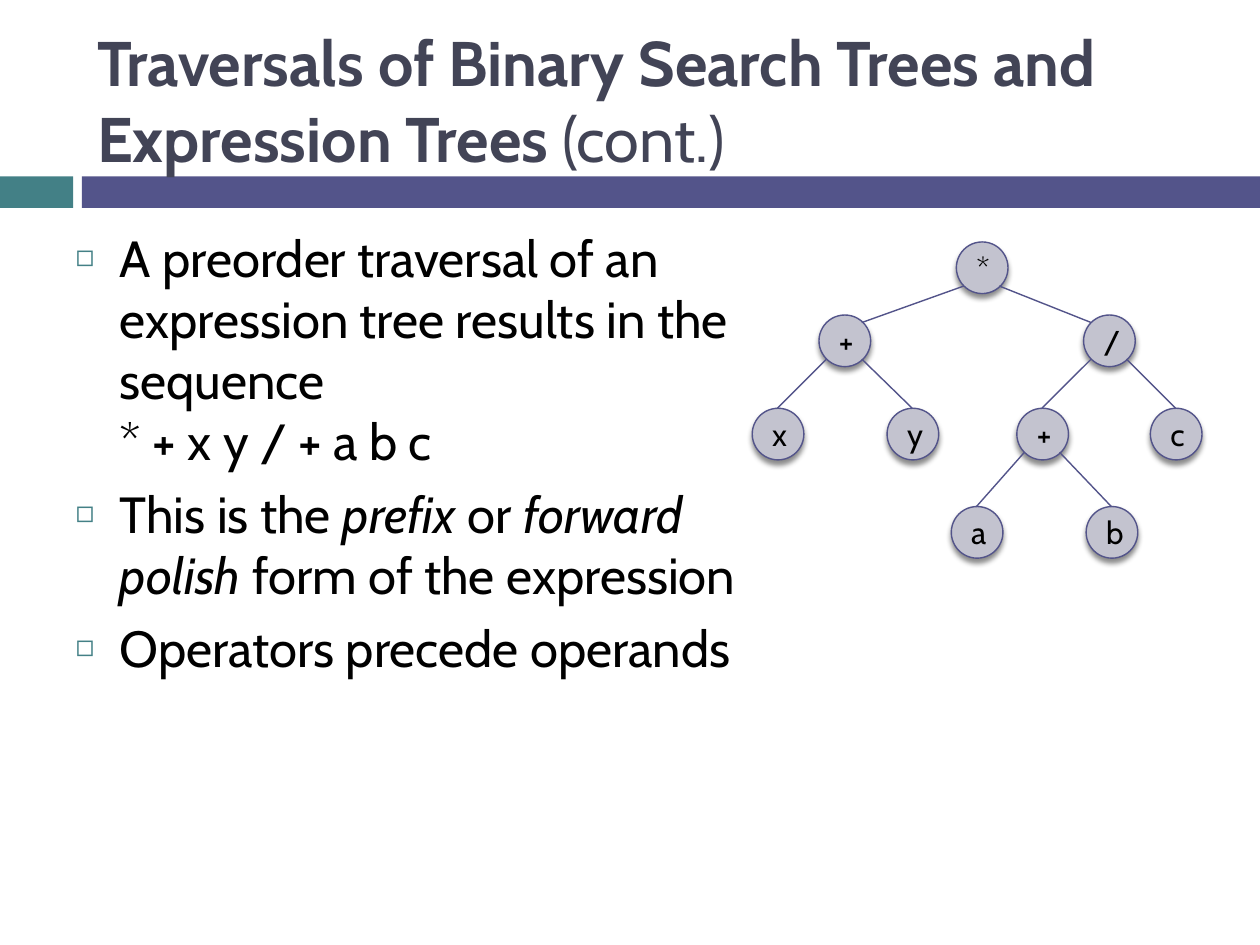
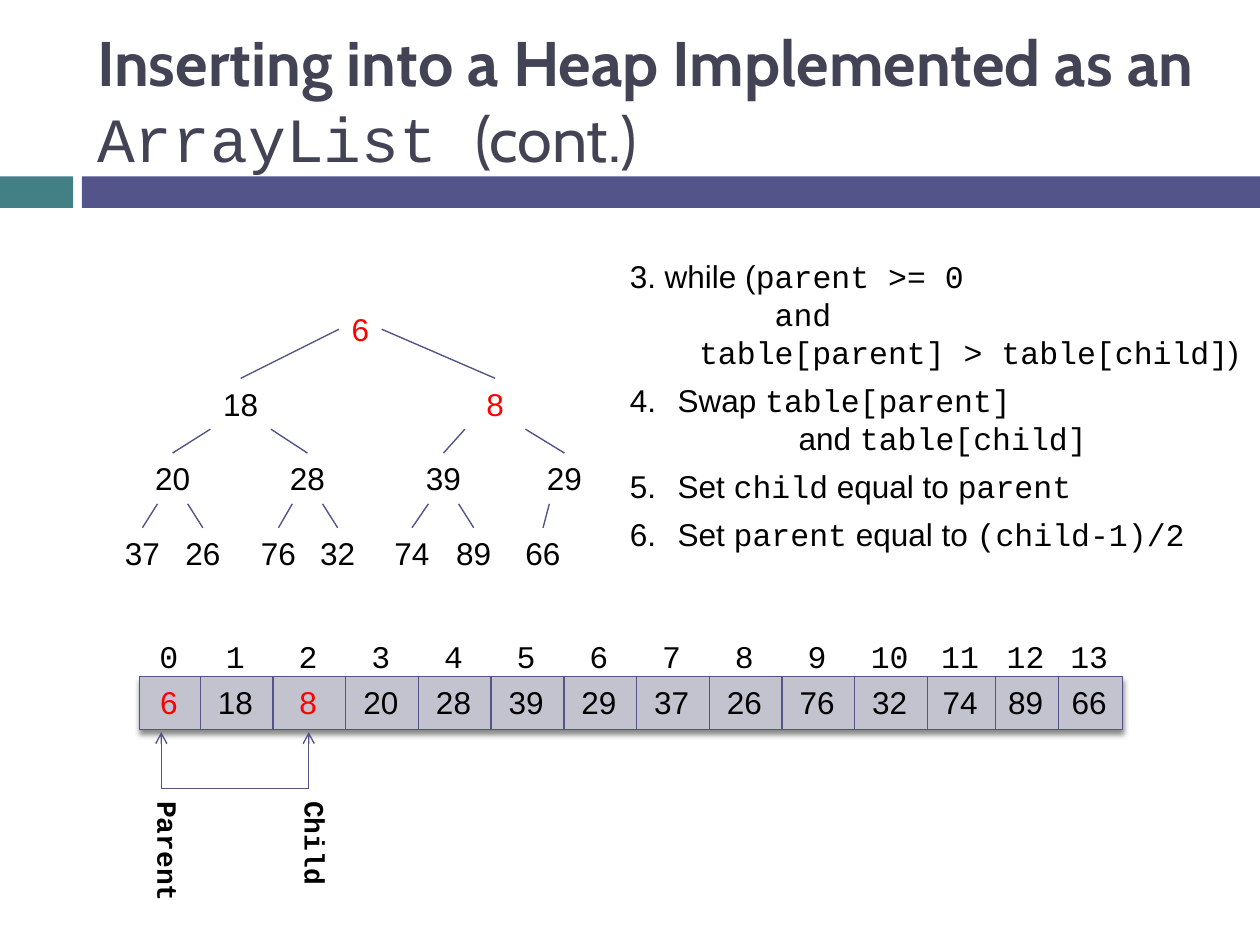
"""Build two slides: an expression tree and a heap stored in an array."""
import pptx
import pptx.dml.color
import pptx.enum.shapes
import pptx.enum.text
import pptx.oxml.ns
import pptx.util
from lxml import etree
from pptx.util import Inches, Pt

SHAPE = pptx.enum.shapes.MSO_SHAPE
ALIGN = pptx.enum.text.PP_ALIGN
ANCHOR = pptx.enum.text.MSO_ANCHOR
INK, RED, DARK = "000000", "FF0000", "424456"
TEAL, VIOLET, GREY = "438086", "53548A", "C3C3CF"
CABIN, ARIAL, MONO = "Cabin", "Arial", "Courier New"
HEAP = [6, 18, 8, 20, 28, 39, 29, 37, 26, 76, 32, 74, 89, 66]
MOVED = (0, 2)


def color(value):
    """Turn a hex string into a colour."""
    return pptx.dml.color.RGBColor.from_string(value)


def add(parent, tag, **attrs):
    """Append a DrawingML element with attributes."""
    node = etree.SubElement(parent, pptx.oxml.ns.qn("a:" + tag))
    for name, value in attrs.items():
        node.set(name, str(value))
    return node


def style(font, size=None, name=None, ink=None, bold=None, italic=None):
    """Set the given font traits."""
    if size:
        font.size = Pt(size)
    if name:
        font.name = name
    if ink:
        font.color.rgb = color(ink)
    if bold is not None:
        font.bold = bold
    if italic is not None:
        font.italic = italic


def write(par, pieces, **base):
    """Fill a paragraph with (text, traits) pieces over a base font."""
    style(par.font, **base)
    for text, traits in pieces:
        for i, part in enumerate(text.split("\n")):
            if i:
                par.add_line_break()
            if part:
                run = par.add_run()
                run.text = part
                style(run.font, **traits)


def indent(par, left, hang):
    """Set the left margin and hanging indent, and return the properties."""
    props = par._p.get_or_add_pPr()
    props.set("marL", str(Inches(left)))
    props.set("indent", str(Inches(-hang)))
    return props


def place(shape, left, top, width, height):
    """Move and size a shape, in inches."""
    shape.left, shape.top = Inches(left), Inches(top)
    shape.width, shape.height = Inches(width), Inches(height)


def solid(slide, kind, left, top, width, height, fill, edge=None):
    """Add a filled shape; one with an edge also casts a soft shadow."""
    shape = slide.shapes.add_shape(
        kind, Inches(left), Inches(top), Inches(width), Inches(height))
    shape.shadow.inherit = False
    shape.fill.solid()
    shape.fill.fore_color.rgb = color(fill)
    if not edge:
        shape.line.fill.background()
        return shape
    shape.line.color.rgb = color(edge)
    shape.line.width = Pt(0.79)
    effect = shape.element.xpath("./p:spPr/a:effectLst")[0]
    cast = add(effect, "outerShdw", blurRad=Pt(3), dist=Pt(2.4),
               dir=5400000, algn="ctr", rotWithShape=0)
    add(add(cast, "srgbClr", val=INK), "alpha", val=45000)
    return shape


def line(slide, x1, y1, x2, y2, arrow=False):
    """Draw a thin straight line, with an arrowhead at its end if asked."""
    link = slide.shapes.add_connector(
        pptx.enum.shapes.MSO_CONNECTOR.STRAIGHT,
        Inches(x1), Inches(y1), Inches(x2), Inches(y2))
    link.line.color.rgb = color(VIOLET)
    link.line.width = Pt(0.79)
    if arrow:
        add(link.element.xpath("./p:spPr/a:ln")[0], "tailEnd", type="arrow")
    add(link.element.xpath("./p:spPr")[0], "effectLst")


def label(slide, mid, top, text, name=ARIAL, ink=INK):
    """Put a short label centred on mid."""
    box = slide.shapes.add_textbox(
        Inches(mid - 0.25), Inches(top), Inches(0.5), Inches(0.4))
    box.text_frame.word_wrap = False
    par = box.text_frame.paragraphs[0]
    par.alignment = ALIGN.CENTER
    write(par, [(str(text), {})], size=18, name=name, ink=ink)


def bands(deck, slide):
    """Move the two title bands onto the slide master."""
    tree = deck.slide_master.shapes.element
    parts = [(0, 0.58, TEAL), (0.65, 9.35, VIOLET)]
    for i, (left, width, fill) in enumerate(parts):
        band = solid(slide, SHAPE.RECTANGLE, left, 1.4, width, 0.25, fill)
        band.element.xpath("./p:nvSpPr/p:cNvPr")[0].set("id", str(20 + i))
        tree.insert(2 + i, band.element)


def title(slide, pieces):
    """Set the slide title."""
    shape = slide.shapes.title
    place(shape, 0.67, 0.25, 8.92, 1.08)
    frame = shape.text_frame
    frame.auto_size = pptx.enum.text.MSO_AUTO_SIZE.NONE
    frame.vertical_anchor = ANCHOR.MIDDLE
    par = frame.paragraphs[0]
    par.alignment = ALIGN.LEFT
    write(par, pieces, size=36, name=CABIN, ink=DARK)


def points(slide, left, top, width, height, items):
    """Fill the body placeholder with square-bulleted items."""
    body = slide.placeholders[1]
    place(body, left, top, width, height)
    frame = body.text_frame
    frame.auto_size = pptx.enum.text.MSO_AUTO_SIZE.NONE
    for i, pieces in enumerate(items):
        par = frame.add_paragraph() if i else frame.paragraphs[0]
        par.space_before = Pt(7 if i else 0)
        props = indent(par, 0.35, 0.35)
        add(add(props, "buClr"), "srgbClr", val=TEAL)
        add(props, "buSzPct", val=60000)
        add(props, "buChar", char="◻")
        write(par, pieces, size=29, name=CABIN, ink=INK)


def syntax(slide, left, top):
    """Draw the expression tree from (text, x, y, parent) nodes."""
    nodes = [("*", 1.82, 0.2, None), ("+", 0.73, 0.78, 0),
             ("/", 2.83, 0.78, 0), ("x", 0.2, 1.52, 1),
             ("y", 1.27, 1.52, 1), ("+", 2.3, 1.52, 2),
             ("c", 3.36, 1.52, 2), ("a", 1.78, 2.3, 5),
             ("b", 2.85, 2.3, 5)]
    for text, x, y, up in nodes:
        ball = solid(slide, SHAPE.OVAL, left + x - 0.2, top + y - 0.2,
                     0.41, 0.41, GREY, VIOLET)
        ball.text_frame.vertical_anchor = ANCHOR.MIDDLE
        par = ball.text_frame.paragraphs[0]
        par.alignment = ALIGN.CENTER
        write(par, [(text, {})], size=18, name=CABIN, ink=INK)
        if up is None:
            continue
        px, py = nodes[up][1:3]
        side = 0.14 if x > px else -0.14
        dx, dy = (side, 0.14) if up == 0 else (0, 0.2)
        line(slide, left + px + side, top + py + 0.15,
             left + x - dx, top + y - dy)


def heap(slide, left, top):
    """Draw the heap as a tree, each node linked to its parent."""
    mids = [1.97, 1.02, 3.04, 0.48, 1.55, 2.63, 3.59,
            0.24, 0.72, 1.32, 1.79, 2.38, 2.87, 3.42]
    reach = [0.17, 0.24, 0.12]
    for i, value in enumerate(HEAP):
        level = (i + 1).bit_length() - 1
        y = top + 0.593 * level
        label(slide, left + mids[i], y, value, ink=RED if i in MOVED else INK)
        if i:
            up = (i - 1) // 2
            gap = reach[level - 1] * (-1 if i % 2 else 1)
            rise = 0.39 if level == 1 else 0.19
            line(slide, left + mids[up] + gap, y - rise, left + mids[i], y)


def array(slide, left, top):
    """Draw the heap as a row of cells with an index above each."""
    edges = ([0] + [0.48 + 0.577 * i for i in range(11)]
             + [6.79, 7.29, 7.8])
    solid(slide, SHAPE.RECTANGLE, left, top, 7.8, 0.42, GREY, VIOLET)
    for x in edges[1:-1]:
        line(slide, left + x, top, left + x, top + 0.42)
    for i, value in enumerate(HEAP):
        mid = left + (edges[i] + edges[i + 1]) / 2 - 0.01
        label(slide, mid, top - 0.36, i, MONO)
        label(slide, mid, top, value, ink=RED if i in MOVED else INK)


def marks(slide, left, top):
    """Point at the parent and child cells from below."""
    for x, text, height in [(0, "Parent", 0.91), (1.17, "Child", 0.78)]:
        line(slide, left + x, top + 0.45, left + x, top, arrow=True)
        box = slide.shapes.add_textbox(
            Inches(left + x - 0.23), Inches(top + 0.45),
            Inches(0.47), Inches(height))
        box.text_frame.word_wrap = False
        box.element.xpath(".//a:bodyPr")[0].set("vert", "vert")
        write(box.text_frame.paragraphs[0], [(text, {})],
              size=16, name=MONO, ink=INK, bold=True)
    line(slide, left, top + 0.45, left + 1.17, top + 0.45)


def steps(slide, left, top, width, height):
    """List the numbered steps of the insertion loop."""
    code = {"name": MONO}
    rows = [
        (0.25, 0.25, 6, None,
         [("3. while (", {}),
          ("parent >= 0\n      and\n  table[parent] > table[child]", code),
          (")", {})]),
        (0.38, 0.38, 0, 4, [("Swap ", {}), ("table[parent]", code)]),
        (1.34, 0, 6, None, [("and ", {}), ("table[child]", code)]),
        (0.38, 0.38, 6, 5, [("Set ", {}), ("child", code),
                            (" equal to ", {}), ("parent", code)]),
        (0.38, 0.38, 6, 5, [("Set ", {}), ("parent", code),
                            (" equal to ", {}), ("(child-1)/2", code)])]
    box = slide.shapes.add_textbox(
        Inches(left), Inches(top), Inches(width), Inches(height))
    frame = box.text_frame
    frame.word_wrap = True
    for i, (margin, hang, after, start, pieces) in enumerate(rows):
        par = frame.add_paragraph() if i else frame.paragraphs[0]
        par.space_after = Pt(after)
        props = indent(par, margin, hang)
        if start:
            add(props, "buAutoNum", type="arabicPeriod", startAt=start)
        write(par, pieces, size=18, name=ARIAL, ink=INK)


def main():
    """Build and save the deck."""
    deck = pptx.Presentation()
    deck.slide_width, deck.slide_height = Inches(10), Inches(7.5)
    bold, slant = {"bold": True}, {"italic": True}

    slide = deck.slides.add_slide(deck.slide_layouts[1])
    bands(deck, slide)
    title(slide, [
        ("Traversals of Binary Search Trees and Expression Trees ", bold),
        ("(cont.)", {})])
    points(slide, 0.5, 1.75, 5.92, 4.95, [
        [("A preorder traversal of an expression tree results in the "
          "sequence\n* + x y / + a b c", {})],
        [("This is the ", {}), ("prefix", slant), (" or ", {}),
         ("forward polish", slant), (" form of the expression", {})],
        [("Operators precede operands", {})]])
    syntax(slide, 5.97, 1.92)

    slide = deck.slides.add_slide(deck.slide_layouts[5])
    title(slide, [("Inserting into a Heap Implemented as an ", bold),
                  ("ArrayList ", {"name": MONO}), ("(cont.)", {})])
    heap(slide, 0.89, 2.41)
    steps(slide, 4.9, 1.99, 5.1, 2.47)
    array(slide, 1.11, 5.37)
    marks(slide, 1.28, 5.81)
    deck.save("out.pptx")


if __name__ == "__main__":
    main()
